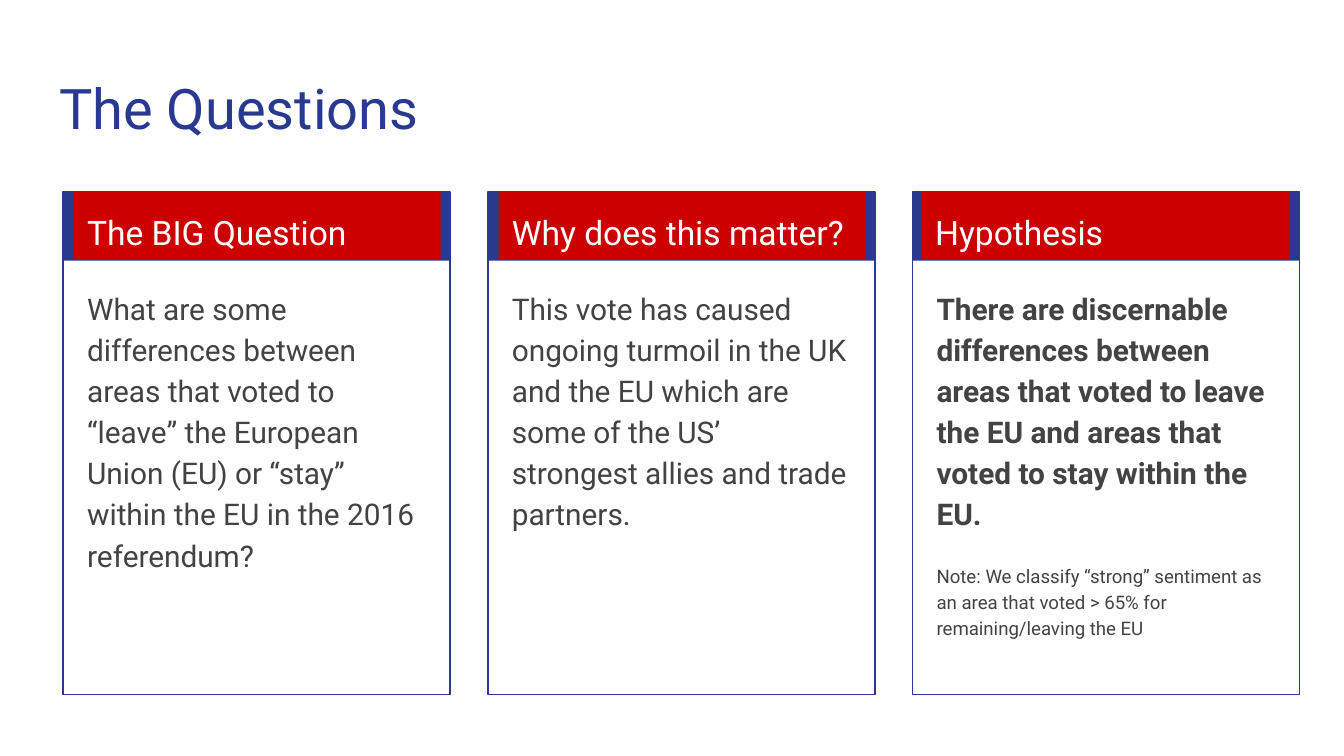
from pptx import Presentation
from pptx.dml.color import RGBColor
from pptx.enum.shapes import MSO_SHAPE
from pptx.enum.text import MSO_ANCHOR, PP_ALIGN
from pptx.util import Inches, Pt

BLUE = "2A3990"
RED = "CC0000"
WHITE = "FFFFFF"
GRAY = "434343"


def color(value):
    return RGBColor.from_string(value)


class SlideBuilder:
    font = "Roboto"

    def __init__(self, presentation):
        self.slide = presentation.slides.add_slide(presentation.slide_layouts[5])

    def format_paragraph(self, paragraph, size, text_color, bold=False, spacing=1.15):
        paragraph.alignment = PP_ALIGN.LEFT
        paragraph.line_spacing = spacing
        for run in paragraph.runs:
            run.font.name = self.font
            run.font.size = Pt(size)
            run.font.bold = bold
            run.font.color.rgb = color(text_color)

    def prepare_frame(self, shape):
        frame = shape.text_frame
        frame.word_wrap = True
        frame.vertical_anchor = MSO_ANCHOR.TOP
        frame.margin_left = frame.margin_right = Inches(0.1)
        frame.margin_top = frame.margin_bottom = Inches(0.1)
        return frame

    def title(self, text, left, top, width, height):
        shape = self.slide.shapes.title
        shape.left, shape.top = Inches(left), Inches(top)
        shape.width, shape.height = Inches(width), Inches(height)
        frame = self.prepare_frame(shape)
        frame.text = text
        self.format_paragraph(frame.paragraphs[0], 30, BLUE, spacing=1.0)

    def rectangle(self, shapes, left, top, width, height, fill=None, line=None):
        shape = shapes.add_shape(
            MSO_SHAPE.RECTANGLE, Inches(left), Inches(top), Inches(width), Inches(height)
        )
        shape.shadow.inherit = False
        if fill:
            shape.fill.solid()
            shape.fill.fore_color.rgb = color(fill)
        else:
            shape.fill.background()
        if line:
            shape.line.color.rgb = color(line)
            shape.line.width = Pt(0.75)
        else:
            shape.line.fill.background()
        return shape

    def header(self, text, left, top):
        shape = self.rectangle(self.slide.shapes, left, top, 2.73, 0.5, fill=RED)
        frame = self.prepare_frame(shape)
        frame.text = text
        self.format_paragraph(frame.paragraphs[0], 18, WHITE)

    def body(self, text, left, top, bold, note):
        shape = self.slide.shapes.add_textbox(
            Inches(left), Inches(top), Inches(2.71), Inches(3.06)
        )
        frame = self.prepare_frame(shape)
        frame.text = text
        self.format_paragraph(frame.paragraphs[0], 16, GRAY, bold)
        if note:
            paragraph = frame.add_paragraph()
            paragraph.text = note
            paragraph.space_before = paragraph.space_after = Pt(16)
            self.format_paragraph(paragraph, 10, GRAY)

    def card(self, left, heading, text, header_inset=0.08, bold=False, note=None):
        top = 1.43
        group = self.slide.shapes.add_group_shape()
        self.rectangle(group.shapes, left, top, 2.88, 3.74, line=BLUE)
        self.rectangle(group.shapes, left, top, 2.88, 0.51, fill=BLUE)
        self.header(heading, left + header_inset, top)
        self.body(text, left + 0.08, 2.02, bold, note)


presentation = Presentation()
presentation.slide_width = Inches(10)
presentation.slide_height = Inches(10 * 9 / 16)

builder = SlideBuilder(presentation)
builder.title("The Questions", 0.34, 0.45, 9.32, 0.66)

cards = [
    {
        "heading": "The BIG Question",
        "text": "What are some differences between areas that voted to “leave” the "
        "European Union (EU) or “stay” within the EU in the 2016 referendum?",
    },
    {
        "heading": "Why does this matter?",
        "text": "This vote has caused ongoing turmoil in the UK and the EU which are "
        "some of the US’ strongest allies and trade partners.",
    },
    {
        "heading": "Hypothesis",
        "text": "There are discernable differences between areas that voted to leave "
        "the EU and areas that voted to stay within the EU.",
        "header_inset": 0.07,
        "bold": True,
        "note": "Note: We classify “strong” sentiment as an area that voted > 65% for "
        "remaining/leaving the EU",
    },
]
for index, card in enumerate(cards):
    builder.card(0.47 + index * 3.16, **card)

presentation.save("out.pptx")
